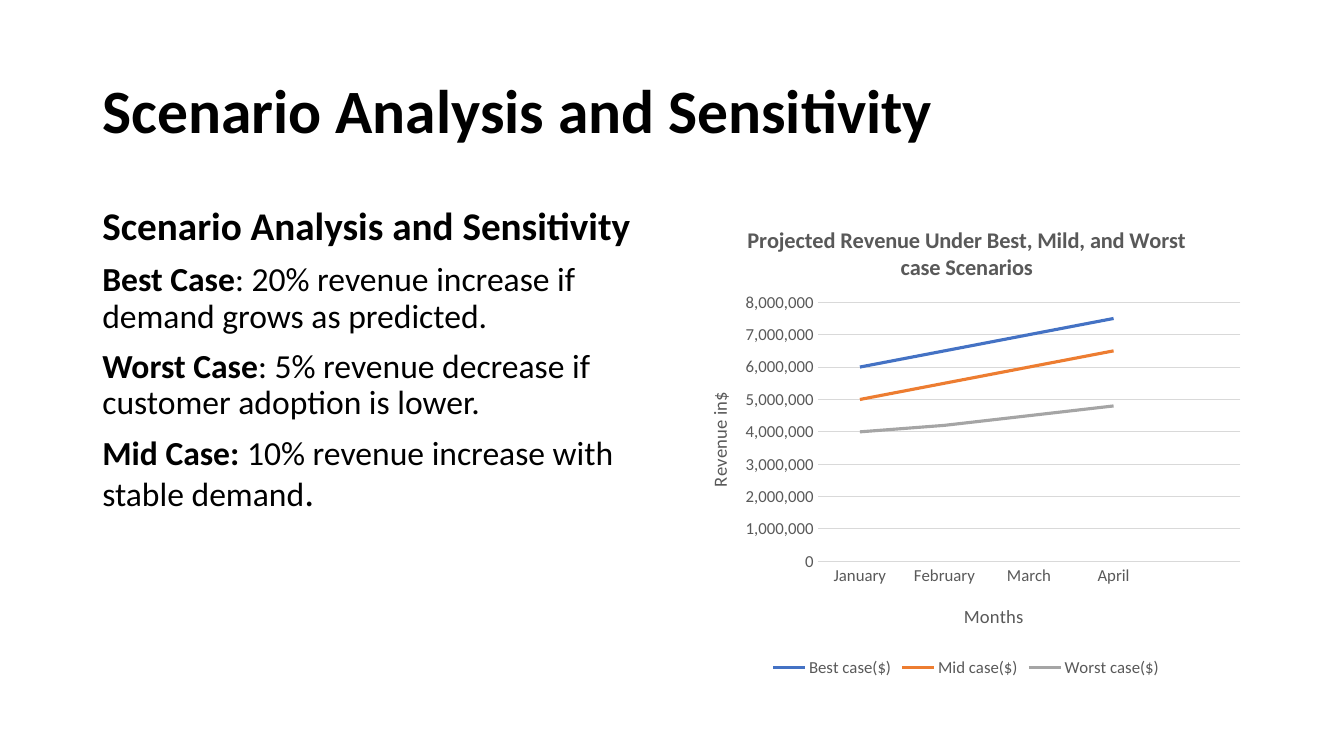
from dataclasses import dataclass
from typing import Optional

from lxml.etree import SubElement
from pptx import Presentation
from pptx.chart.data import CategoryChartData
from pptx.dml.color import RGBColor
from pptx.enum.chart import XL_CHART_TYPE as ChartType
from pptx.enum.chart import XL_LEGEND_POSITION as LegendPosition
from pptx.enum.chart import XL_TICK_MARK as TickMark
from pptx.enum.text import MSO_ANCHOR as Anchor
from pptx.oxml.ns import qn
from pptx.util import Cm, Pt


@dataclass(frozen=True)
class Theme:
    font: str = "Calibri"
    text: str = "000000"
    chart_text: str = "595959"
    grid: str = "D9D9D9"
    title_size: float = 44
    heading_size: float = 28
    body_size: float = 24
    chart_title_size: float = 16
    axis_title_size: float = 13.3
    label_size: float = 12
    grid_width: float = 0.75
    series_width: float = 2.25


@dataclass(frozen=True)
class Box:
    left: float
    top: float
    width: float
    height: float

    def lengths(self) -> tuple:
        return tuple(Cm(n) for n in (self.left, self.top, self.width, self.height))


@dataclass(frozen=True)
class Scenario:
    label: str
    detail: str
    ending: str = ""


@dataclass(frozen=True)
class Series:
    name: str
    values: tuple
    color: str


THEME = Theme()
HEADING = "Scenario Analysis and Sensitivity"
TITLE_BOX = Box(2.33, 1.01, 29.21, 3.68)
BODY_BOX = Box(2.33, 5.08, 14.4, 12.09)
CHART_BOX = Box(17.15, 5.08, 14.4, 12.09)
SCENARIOS = (
    Scenario("Best Case", ": 20% revenue increase if demand grows as predicted."),
    Scenario("Worst Case", ": 5% revenue decrease if customer adoption is lower."),
    Scenario("Mid Case: ", "10% revenue increase with stable demand", "."),
)
MONTHS = ("January", "February", "March", "April", "")
SERIES = (
    Series("Best case($)", (6000000, 6500000, 7000000, 7500000, None), "4472C4"),
    Series("Mid case($)", (5000000, 5500000, 6000000, 6500000, None), "ED7D31"),
    Series("Worst case($)", (4000000, 4200000, 4500000, 4800000, None), "A5A5A5"),
)


def style_font(font, size: float, color: str, bold: bool = False) -> None:
    font.name = THEME.font
    font.size = Pt(size)
    font.bold = bold
    font.color.rgb = RGBColor.from_string(color)


def add_text(paragraph, text: str, *, size: float, color: str = THEME.text,
             bold: bool = False) -> None:
    run = paragraph.add_run()
    run.text = text
    style_font(run.font, size, color, bold)


def add_text_frame(slide, box: Box, anchor: Anchor):
    frame = slide.shapes.add_textbox(*box.lengths()).text_frame
    frame.word_wrap = True
    frame.vertical_anchor = anchor
    frame.paragraphs[0].line_spacing = 0.9
    return frame


def add_body(slide) -> None:
    frame = add_text_frame(slide, BODY_BOX, Anchor.TOP)
    frame.paragraphs[0].space_before = Pt(10)
    add_text(frame.paragraphs[0], HEADING, size=THEME.heading_size, bold=True)
    for scenario in SCENARIOS:
        paragraph = frame.add_paragraph()
        paragraph.line_spacing = 0.9
        paragraph.space_before = Pt(10)
        add_text(paragraph, scenario.label, size=THEME.body_size, bold=True)
        add_text(paragraph, scenario.detail, size=THEME.body_size)
        if scenario.ending:
            add_text(paragraph, scenario.ending, size=THEME.heading_size)


def place(element, x: float, y: float, width: Optional[float] = None,
          height: Optional[float] = None) -> None:
    layout = element.find(qn("c:layout"))
    if layout is None:
        layout = SubElement(element, qn("c:layout"))
        element.insert(0 if element.find(qn("c:tx")) is None else 1, layout)
    manual = SubElement(layout, qn("c:manualLayout"))
    settings = {"xMode": "edge", "yMode": "edge", "x": x, "y": y, "w": width, "h": height}
    if width is not None:
        settings = {"layoutTarget": "inner", **settings}
    for name, value in settings.items():
        if value is not None:
            SubElement(manual, qn(f"c:{name}")).set("val", str(value))


def add_chart_title(title, text: str, x: float, y: float, *, size: float,
                    bold: bool = False, rotation: int = 0) -> None:
    add_text(title.text_frame.paragraphs[0], text, size=size,
             color=THEME.chart_text, bold=bold)
    body = next(title._element.iter(qn("a:bodyPr")))
    body.set("rot", str(rotation * 60000))
    body.set("vert", "horz")
    place(title._element, x, y)


def style_line(line, color: str, width: float) -> None:
    line.color.rgb = RGBColor.from_string(color)
    line.width = Pt(width)


def style_axes(chart) -> None:
    for axis in (chart.category_axis, chart.value_axis):
        axis.major_tick_mark = axis.minor_tick_mark = TickMark.NONE
        style_font(axis.tick_labels.font, THEME.label_size, THEME.chart_text)
    style_line(chart.category_axis.format.line, THEME.grid, THEME.grid_width)
    value_axis = chart.value_axis
    value_axis.minimum_scale = 0
    value_axis.maximum_scale = 8000000
    value_axis.major_unit = 1000000
    value_axis.tick_labels.number_format = "#,##0"
    value_axis.tick_labels.number_format_is_linked = False
    value_axis.format.line.fill.background()
    style_line(value_axis.major_gridlines.format.line, THEME.grid, THEME.grid_width)
    add_chart_title(chart.category_axis.axis_title, "Months", 0.49, 0.83,
                    size=THEME.axis_title_size)
    add_chart_title(value_axis.axis_title, "Revenue in$", 0.04, 0.39,
                    size=THEME.axis_title_size, rotation=-90)


def add_revenue_chart(slide) -> None:
    data = CategoryChartData(number_format="#,##0")
    data.categories = MONTHS
    for series in SERIES:
        data.add_series(series.name, series.values)
    chart = slide.shapes.add_chart(ChartType.LINE, *CHART_BOX.lengths(), data).chart
    style_font(chart.font, THEME.label_size, THEME.chart_text)
    chart.has_title = True
    add_chart_title(chart.chart_title,
                    "Projected Revenue Under Best, Mild, and Worst case Scenarios",
                    0.11, 0.04, size=THEME.chart_title_size, bold=True)
    chart.has_legend = True
    chart.legend.position = LegendPosition.BOTTOM
    chart.legend.include_in_layout = False
    style_font(chart.legend.font, THEME.label_size, THEME.chart_text)
    plot = chart.plots[0]
    plot.vary_by_categories = False
    for line, series in zip(plot.series, SERIES):
        line.smooth = False
        style_line(line.format.line, series.color, THEME.series_width)
    style_axes(chart)
    place(next(chart._chartSpace.iter(qn("c:plotArea"))), 0.24, 0.21, 0.74, 0.54)


def main() -> None:
    presentation = Presentation()
    presentation.slide_width = Cm(33.87)
    presentation.slide_height = Cm(19.05)
    slide = presentation.slides.add_slide(presentation.slide_layouts[6])
    title = add_text_frame(slide, TITLE_BOX, Anchor.MIDDLE)
    add_text(title.paragraphs[0], HEADING, size=THEME.title_size, bold=True)
    add_body(slide)
    add_revenue_chart(slide)
    presentation.save("out.pptx")


if __name__ == "__main__":
    main()
